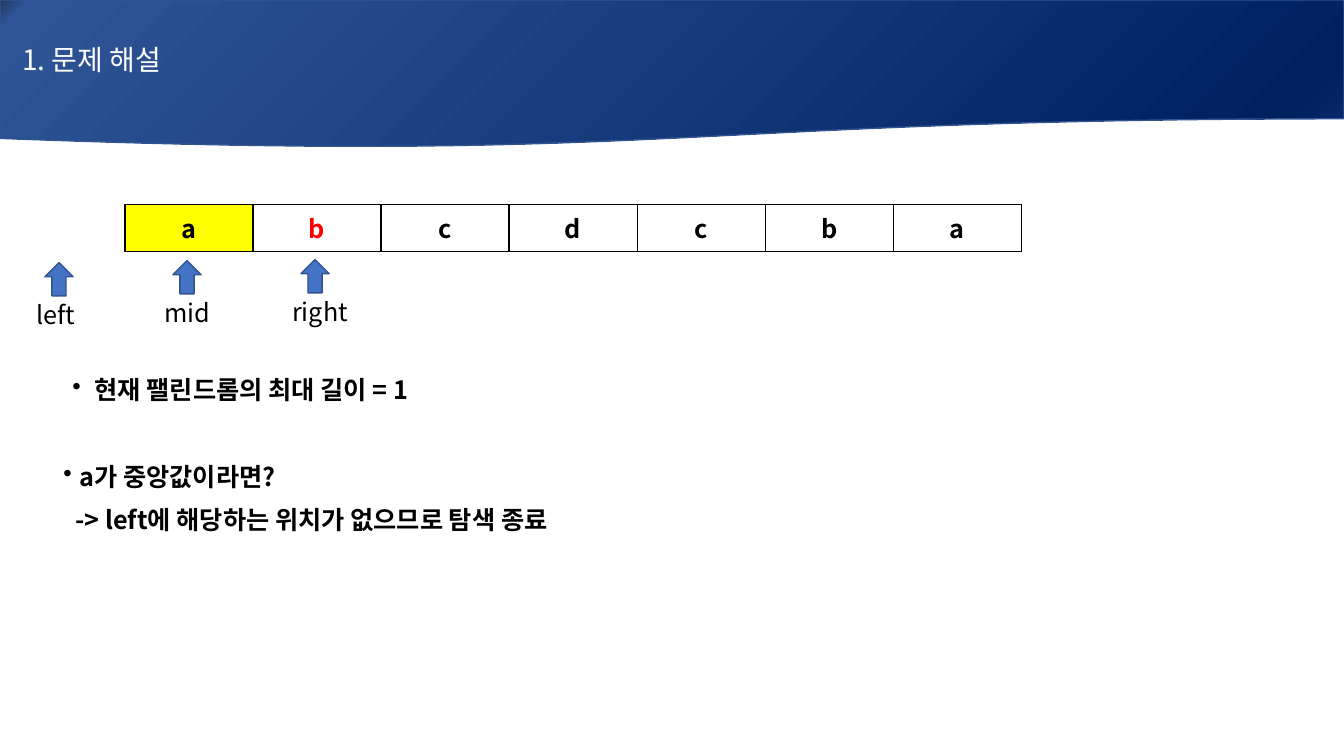
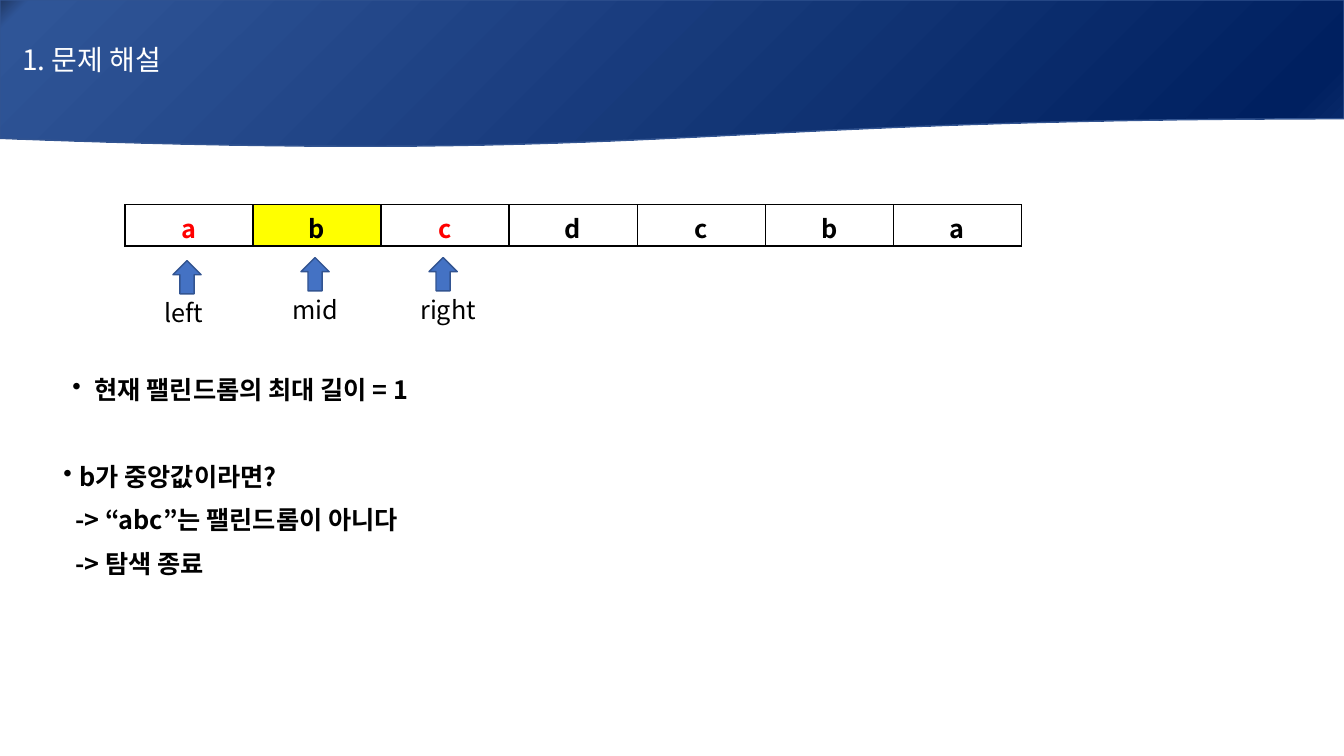
import pptx
import pptx.util
import pptx.dml.color
import pptx.enum.shapes
import pptx.enum.text
import pptx.oxml.ns
from lxml import etree

Inches, Pt = pptx.util.Inches, pptx.util.Pt
RGBColor = pptx.dml.color.RGBColor
Shape = pptx.enum.shapes.MSO_SHAPE
Align = pptx.enum.text.PP_ALIGN
Anchor = pptx.enum.text.MSO_ANCHOR
qn = pptx.oxml.ns.qn

# Shared style
FONT = "Noto Sans CJK KR"
BLACK = RGBColor(0x00, 0x00, 0x00)
WHITE = RGBColor(0xFF, 0xFF, 0xFF)
RED = RGBColor(0xFF, 0x00, 0x00)
YELLOW = RGBColor(0xFF, 0xFF, 0x00)
ARROW_BLUE = RGBColor(0x44, 0x72, 0xC4)
OUTLINE = RGBColor(0x32, 0x54, 0x91)
BAND_STOPS = [
    (0, RGBColor(0x20, 0x38, 0x64)),
    (2, RGBColor(0x2F, 0x55, 0x97)),
    (94, RGBColor(0x00, 0x20, 0x60)),
    (100, RGBColor(0x0D, 0x2E, 0x6F)),
]

# Layout, in inches
SLIDE_WIDTH, SLIDE_HEIGHT = 13.33, 7.5
BAND_BOX = (0, 0, SLIDE_WIDTH, 1.47)
LETTERS = "abcdcba"
CELL_WIDTH, CELL_HEIGHT = 1.27, 0.41
TABLE_BOX = (1.24, 2.03, CELL_WIDTH * len(LETTERS), CELL_HEIGHT)
NOTES_LEFT, NOTES_TOP = 0.49, 1.92
LINE_PITCH = 0.43
ARROW_LENGTH, ARROW_WIDTH = 0.33, 0.28

# Kinds of note line: left margin, first-line indent, space after, bullet
HEADLINE = (0.35, -0.22, 39, True)
QUESTION = (0.2, -0.16, 8, True)
ANSWER = (0.16, 0, 8, False)

STEPS = [
    {
        "middle": 0,
        "compared": [1],
        "pointers": [("mid", 0, 2.61), ("right", 1, 2.6), ("left", -1, 2.63)],
        "notes": [
            ("현재 팰린드롬의 최대 길이 = 1", HEADLINE),
            ("a가 중앙값이라면?", QUESTION),
            ("-> left에 해당하는 위치가 없으므로 탐색 종료", ANSWER),
        ],
    },
    {
        "middle": 1,
        "compared": [0, 2],
        "pointers": [("mid", 1, 2.58), ("right", 2, 2.58), ("left", 0, 2.61)],
        "notes": [
            ("현재 팰린드롬의 최대 길이 = 1", HEADLINE),
            ("b가 중앙값이라면?", QUESTION),
            ("-> “abc”는 팰린드롬이 아니다", ANSWER),
            ("-> 탐색 종료", ANSWER),
        ],
    },
]


def to_inches(box):
    return [Inches(length) for length in box]


def write(paragraph, text, size=18, color=BLACK, bold=False, align=Align.LEFT):
    paragraph.text = text
    paragraph.alignment = align
    font = paragraph.font
    font.size, font.bold, font.name = Pt(size), bold, FONT
    font.color.rgb = color
    defaults = paragraph._p.pPr.find(qn("a:defRPr"))
    etree.SubElement(defaults, qn("a:ea"), typeface=FONT)


def add_block(slide, kind, box, fill, line):
    block = slide.shapes.add_shape(kind, *to_inches(box))
    block.shadow.inherit = False
    if fill is not None:
        block.fill.solid()
        block.fill.fore_color.rgb = fill
    block.line.color.rgb = line
    block.line.width = Pt(1)
    return block


def add_title_band(slide, box, title):
    band = add_block(slide, Shape.FLOWCHART_DOCUMENT, box, None, OUTLINE)
    band.fill.gradient()
    band.fill.gradient_angle = 315
    stops = band.element.spPr.find(qn("a:gradFill")).find(qn("a:gsLst"))
    for stop in list(stops):
        stops.remove(stop)
    for percent, color in BAND_STOPS:
        stop = etree.SubElement(stops, qn("a:gs"), pos=str(percent * 1000))
        etree.SubElement(stop, qn("a:srgbClr"), val=str(color))
    frame = band.text_frame
    frame.margin_left = Inches(0.22)
    frame.vertical_anchor = Anchor.MIDDLE
    write(frame.paragraphs[0], title, size=20, color=WHITE)


def add_notes(slide, left, top, notes):
    # Text starts four lines down, below the table and its pointers
    lead = 4 * LINE_PITCH + 0.05
    height = lead + (len(notes) + 3) * LINE_PITCH
    box = (left, top, SLIDE_WIDTH - left, height)
    panel = add_block(slide, Shape.RECTANGLE, box, WHITE, WHITE)
    frame = panel.text_frame
    frame.vertical_anchor = Anchor.TOP
    frame.margin_top = Inches(lead)
    for index, (text, kind) in enumerate(notes):
        margin, indent, space_after, bulleted = kind
        paragraph = frame.add_paragraph() if index else frame.paragraphs[0]
        write(paragraph, text, bold=True, align=Align.JUSTIFY)
        paragraph.line_spacing = 1.07
        paragraph.space_after = Pt(space_after)
        properties = paragraph._p.pPr
        properties.set("marL", str(Inches(margin)))
        properties.set("indent", str(Inches(indent)))
        if bulleted:
            bullet = etree.Element(qn("a:buChar"), char="•")
            properties.find(qn("a:defRPr")).addprevious(bullet)


def add_cell_borders(cell):
    properties = cell._tc.get_or_add_tcPr()
    for index, side in enumerate(("a:lnL", "a:lnR", "a:lnT", "a:lnB")):
        border = etree.Element(qn(side), w=str(Pt(1)))
        fill = etree.SubElement(border, qn("a:solidFill"))
        etree.SubElement(fill, qn("a:srgbClr"), val=str(BLACK))
        properties.insert(index, border)


def add_letter_table(slide, box, middle, compared):
    table = slide.shapes.add_table(1, len(LETTERS), *to_inches(box)).table
    table.first_row = table.horz_banding = False
    for column, letter in enumerate(LETTERS):
        table.columns[column].width = Inches(CELL_WIDTH)
        cell = table.cell(0, column)
        cell.vertical_anchor = Anchor.MIDDLE
        cell.fill.solid()
        cell.fill.fore_color.rgb = YELLOW if column == middle else WHITE
        color = RED if column in compared else BLACK
        write(cell.text_frame.paragraphs[0], letter, color=color, bold=True,
              align=Align.CENTER)
        add_cell_borders(cell)


def add_pointer(slide, label, column, top):
    # Arrow under the middle of a cell, with its label below
    left = TABLE_BOX[0] + column * CELL_WIDTH + 0.45
    box = (left, top, ARROW_LENGTH, ARROW_WIDTH)
    arrow = add_block(slide, Shape.RIGHT_ARROW, box, ARROW_BLUE, OUTLINE)
    arrow.rotation = 270
    caption = slide.shapes.add_textbox(
        *to_inches((left - 0.16, top + 0.29, 0.94, 0.4)))
    caption.text_frame.word_wrap = True
    write(caption.text_frame.paragraphs[0], label)


def add_step_slide(presentation, step):
    slide = presentation.slides.add_slide(presentation.slide_layouts[6])
    add_title_band(slide, BAND_BOX, "1. 문제 해설")
    add_notes(slide, NOTES_LEFT, NOTES_TOP, step["notes"])
    add_letter_table(slide, TABLE_BOX, step["middle"], step["compared"])
    for label, column, top in step["pointers"]:
        add_pointer(slide, label, column, top)


presentation = pptx.Presentation()
presentation.slide_width = Inches(SLIDE_WIDTH)
presentation.slide_height = Inches(SLIDE_HEIGHT)
for step in STEPS:
    add_step_slide(presentation, step)
presentation.save("out.pptx")
